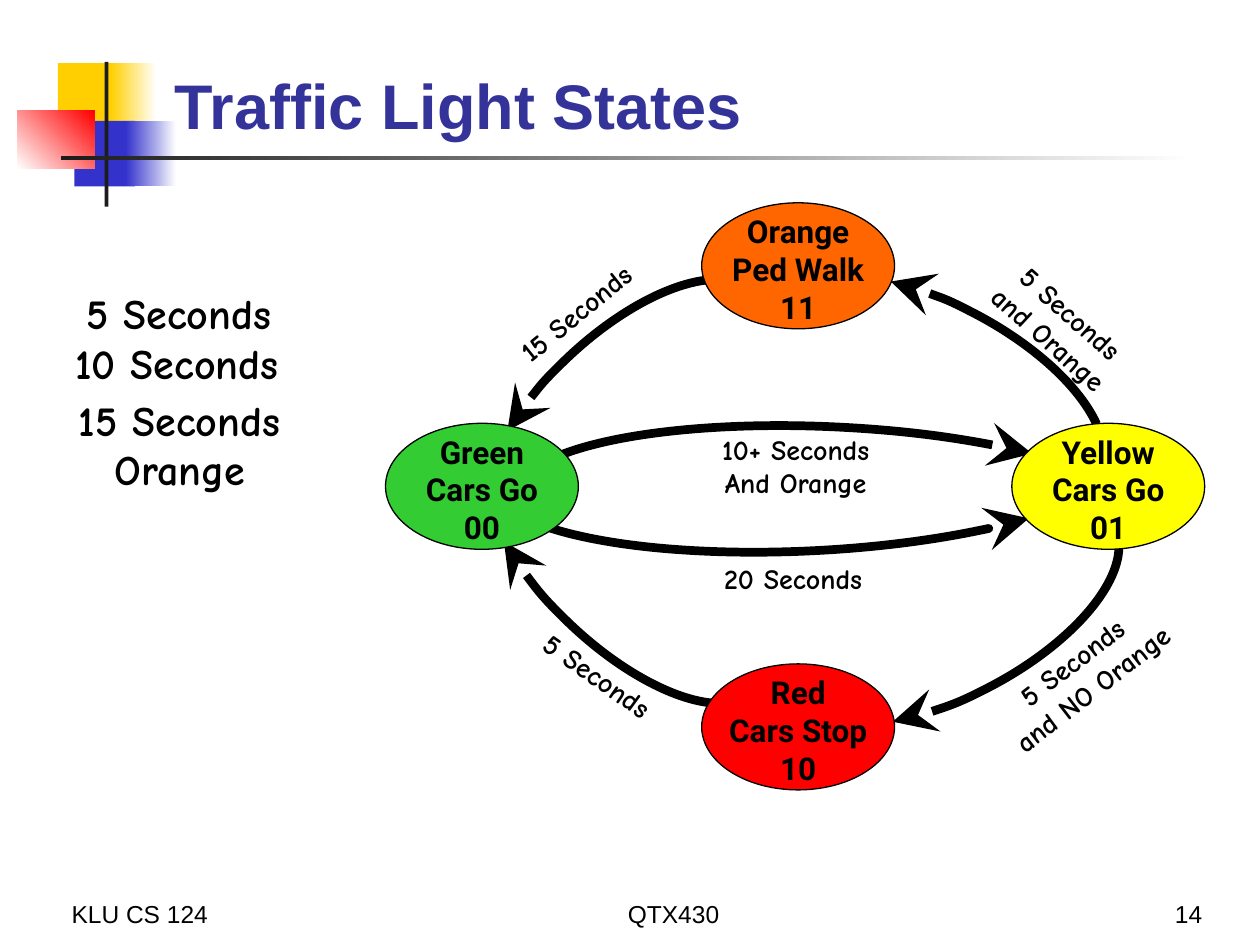
from dataclasses import dataclass
from typing import Optional

from lxml import etree
from pptx import Presentation
from pptx.dml.color import RGBColor
from pptx.enum import shapes, text
from pptx.oxml import ns
from pptx.util import Pt

BLACK = RGBColor(0x00, 0x00, 0x00)
WHITE = RGBColor(0xFF, 0xFF, 0xFF)
CHARCOAL = RGBColor(0x1C, 0x1C, 0x1C)
GOLD = RGBColor(0xFF, 0xCF, 0x01)
BLUE = RGBColor(0x33, 0x33, 0xCC)
NAVY = RGBColor(0x33, 0x33, 0x99)
RED = RGBColor(0xFF, 0x00, 0x00)
GREEN = RGBColor(0x33, 0xCC, 0x33)
ORANGE = RGBColor(0xFF, 0x66, 0x00)
YELLOW = RGBColor(0xFF, 0xFF, 0x00)

LEFT, CENTER, RIGHT = text.PP_ALIGN.LEFT, text.PP_ALIGN.CENTER, text.PP_ALIGN.RIGHT
TOP, BOTTOM = text.MSO_ANCHOR.TOP, text.MSO_ANCHOR.BOTTOM
GROW = text.MSO_AUTO_SIZE.SHAPE_TO_FIT_TEXT
FIXED = text.MSO_AUTO_SIZE.NONE

TITLE = {"name": "Arial", "size": Pt(36), "bold": True}
FOOTER = {"name": "Arial", "size": Pt(14), "bold": False}
TIMER = {"name": "Comic Neue", "size": Pt(24), "bold": True}
CONDITION = {"name": "Comic Neue", "size": Pt(16), "bold": True}
STATE = {"name": "Roboto", "size": Pt(18), "bold": True}

NODE_W, NODE_H = 110.2, 72


@dataclass
class Box:
    x: float
    y: float
    w: float
    h: float

    def lengths(self) -> list:
        return [Pt(v) for v in (self.x, self.y, self.w, self.h)]


@dataclass
class Block:
    box: Box
    color: RGBColor
    fade: Optional[tuple] = None  # start colour, end colour, angle


@dataclass
class Caption:
    words: str
    box: Box
    rotation: float = 0


@dataclass
class Transition:
    box: Box
    rotation: float
    start: float  # arc adjustments, 100000ths of the stored angle
    end: float
    flips: str = ""


@dataclass
class State:
    words: str
    x: float
    y: float
    color: RGBColor


def add_preset(slide, kind, box: Box):
    shape = slide.shapes.add_shape(kind, *box.lengths())
    shape.shadow.inherit = False
    return shape


def draw_block(slide, block: Block) -> None:
    shape = add_preset(slide, shapes.MSO_SHAPE.RECTANGLE, block.box)
    shape.line.fill.background()
    if block.fade is None:
        shape.fill.solid()
        shape.fill.fore_color.rgb = block.color
        return
    *colors, angle = block.fade
    shape.fill.gradient()
    shape.fill.gradient_angle = angle
    for stop, color in zip(shape.fill.gradient_stops, colors):
        stop.color.rgb = color


def draw_caption(slide, caption: Caption, style: dict, align=CENTER, anchor=TOP,
                 color=BLACK, wrap=True, fit=GROW) -> None:
    holder = slide.shapes.add_textbox(*caption.box.lengths())
    holder.rotation = caption.rotation
    frame = holder.text_frame
    for key, value in {"word_wrap": wrap, "auto_size": fit,
                       "vertical_anchor": anchor, "text": caption.words}.items():
        setattr(frame, key, value)
    for paragraph in frame.paragraphs:
        paragraph.alignment = align
        for run in paragraph.runs:
            for key, value in style.items():
                setattr(run.font, key, value)
            run.font.color.rgb = color


def draw_transition(slide, move: Transition) -> None:
    arc = add_preset(slide, shapes.MSO_SHAPE.ARC, move.box)
    arc.rotation = move.rotation
    arc.adjustments[0] = move.start
    arc.adjustments[1] = move.end
    arc.fill.background()
    arc.line.color.rgb = BLACK
    arc.line.width = Pt(5)
    properties = arc.element.spPr
    for axis in move.flips:
        properties.find(ns.qn("a:xfrm")).set(f"flip{axis}", "1")
    etree.SubElement(properties.find(ns.qn("a:ln")), ns.qn("a:headEnd"),
                     type="stealth", w="lg", len="lg")


def draw_state(slide, state: State) -> None:
    node = add_preset(slide, shapes.MSO_SHAPE.OVAL, Box(state.x, state.y, NODE_W, NODE_H))
    node.fill.solid()
    node.fill.fore_color.rgb = state.color
    node.line.color.rgb = BLACK
    node.line.width = Pt(0.75)
    words_box = Box(state.x - 10.8, state.y + 1.8, NODE_W + 21.6, 72.7)
    draw_caption(slide, Caption(state.words, words_box), STATE)


BLOCKS = [
    Block(Box(33.1, 36, 34.6, 37.4), GOLD),
    Block(Box(63.4, 36, 25.9, 37.4), GOLD, (GOLD, WHITE, 0)),
    Block(Box(42.5, 69.1, 34.6, 37.4), BLUE),
    Block(Box(72, 69.1, 28.8, 37.4), BLUE, (BLUE, WHITE, 0)),
    Block(Box(10.1, 63.4, 43.9, 33.1), RED, (WHITE, RED, 45)),
    Block(Box(59.8, 35.3, 2.2, 82.8), CHARCOAL),
    Block(Box(34.6, 89.3, 648, 2.2), CHARCOAL, (CHARCOAL, WHITE, 0)),
]
FOOTERS = [
    (Caption("KLU CS 124", Box(33.8, 498.2, 149.8, 36)), LEFT),
    (Caption("QTX430", Box(200.2, 498.2, 369.4, 36)), CENTER),
    (Caption("14", Box(544.3, 498.2, 149.8, 36)), RIGHT),
]
TIMERS = [
    Caption("5 Seconds", Box(35.3, 160.6, 133.9, 36)),
    Caption("10 Seconds", Box(26.6, 189.4, 149, 36)),
    Caption("15 Seconds", Box(28.1, 221.8, 149, 36)),
    Caption("Orange", Box(54, 249.8, 97.9, 36)),
]
TRANSITIONS = [
    Transition(Box(249.8, 193, 211.7, 96.5), 315.7, 132.07, 207.1),
    Transition(Box(294.5, 244.1, 368.6, 96.5), 3, 119.77, 210.77, "H"),
    Transition(Box(280.1, 218.2, 368.6, 96.5), 357, 117.94, 210.77, "HV"),
    Transition(Box(428.4, 173.5, 211.7, 96.5), 27.4, 132.07, 207.1),
    Transition(Box(437, 301.7, 211.7, 96.5), 332.6, 128.99, 212.68, "V"),
    Transition(Box(250.6, 273.6, 211.7, 94.3), 44.3, 128.99, 209.3, "V"),
]
STATES = [
    State("Red\nCars Stop\n10", 401, 379.4, RED),
    State("Green\nCars Go\n00", 220.3, 241.9, GREEN),
    State("Orange\nPed Walk\n11", 401, 115.9, ORANGE),
    State("Yellow\nCars Go\n01", 578.2, 241.9, YELLOW),
]
CONDITIONS = [
    Caption("15 Seconds", Box(263.5, 165.6, 131, 26.6), 320.6),
    Caption("5 Seconds\nand Orange", Box(540, 163.4, 131, 46.1), 41.5),
    Caption("10+ Seconds\nAnd Orange", Box(380.2, 243.4, 149, 46.1)),
    Caption("20 Seconds", Box(367.9, 317.5, 170.6, 26.6)),
    Caption("5 Seconds", Box(275, 373, 132.5, 26.6), 34.9),
    Caption("5 Seconds\nand NO Orange", Box(547.9, 362.9, 141.1, 46.1), 322.3),
]


def main() -> None:
    deck = Presentation()
    deck.slide_width, deck.slide_height = Pt(720), Pt(540)
    slide = deck.slides.add_slide(deck.slide_layouts[6])

    # Corner decoration, title and footer
    for block in BLOCKS:
        draw_block(slide, block)
    draw_caption(slide, Caption("Traffic Light States", Box(92.9, 16.6, 613.4, 68.4)),
                 TITLE, LEFT, BOTTOM, NAVY, fit=FIXED)
    for footer, align in FOOTERS:
        draw_caption(slide, footer, FOOTER, align, BOTTOM, fit=FIXED)

    # Timer list
    for timer in TIMERS:
        draw_caption(slide, timer, TIMER, wrap=False)

    # State diagram
    for transition in TRANSITIONS:
        draw_transition(slide, transition)
    for state in STATES:
        draw_state(slide, state)
    for condition in CONDITIONS:
        draw_caption(slide, condition, CONDITION)

    deck.save("out.pptx")


if __name__ == "__main__":
    main()
